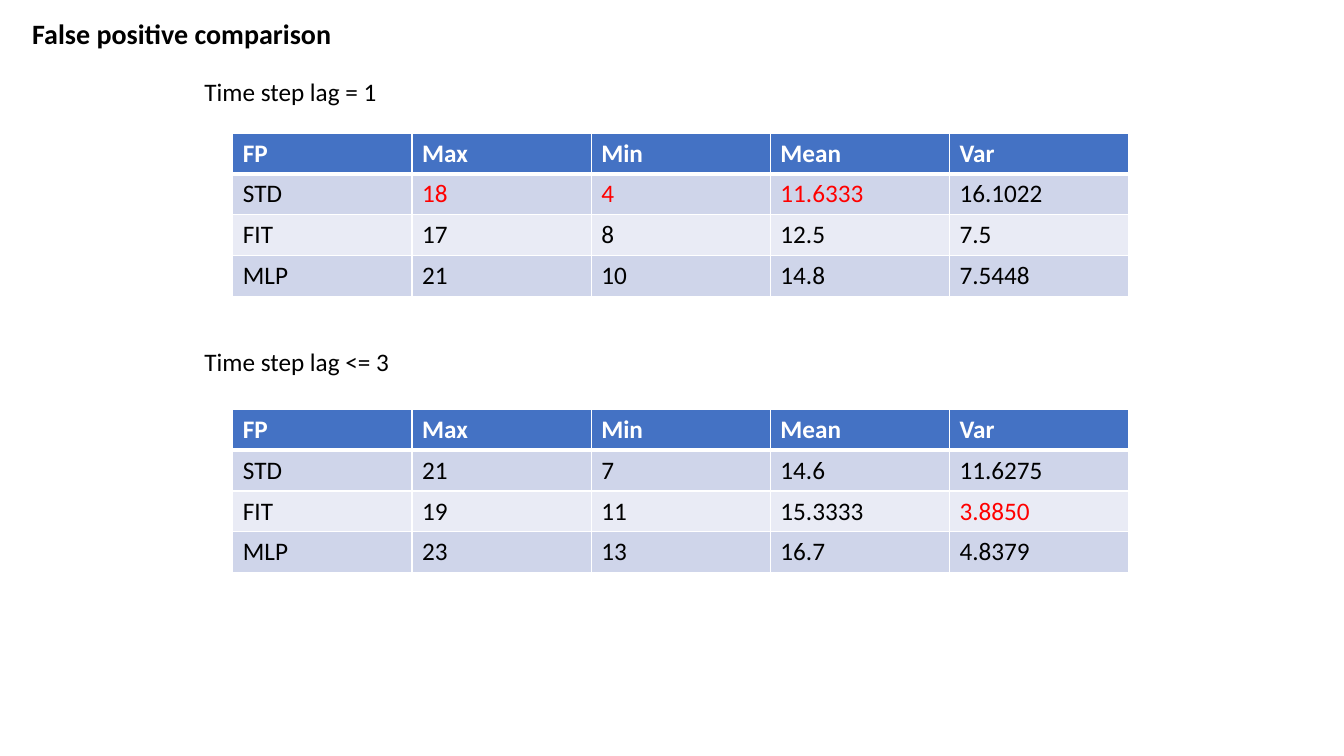
import dataclasses

import lxml.etree
import pptx
import pptx.dml.color
import pptx.enum.text
import pptx.oxml.ns
import pptx.slide
import pptx.table
import pptx.text.text
import pptx.util

COLORS = {
    "header": "4472C4",
    "odd_row": "CFD5EA",
    "even_row": "E9EBF5",
    "text": "000000",
    "highlight": "FF0000",
    "white": "FFFFFF",
}
FONT = "Calibri"
TABLE_LEFT = 166.32
COLUMN_WIDTH = 128
ROW_HEIGHT = 29.2
HEADER = ("FP", "Max", "Min", "Mean", "Var")


@dataclasses.dataclass(frozen=True)
class Label:
    text: str
    left: float
    top: float
    width: float
    height: float
    size: float = 18
    bold: bool = False


@dataclasses.dataclass(frozen=True)
class ResultTable:
    top: float
    rows: tuple[tuple[str, ...], ...]
    highlights: frozenset[tuple[int, int]]  # (row, column), header is row 0


LABELS = (
    Label("Time step lag = 1", 138.96, 51.12, 138.96, 29.08),
    Label("Time step lag <= 3", 138.96, 244.08, 148.32, 29.08),
    Label("False positive comparison", 15.84, 7.92, 230.4, 31.5, size=20, bold=True),
)
TABLES = (
    ResultTable(
        292.32,
        (
            ("STD", "21", "7", "14.6", "11.6275"),
            ("FIT", "19", "11", "15.3333", "3.8850"),
            ("MLP", "23", "13", "16.7", "4.8379"),
        ),
        frozenset({(2, 4)}),
    ),
    ResultTable(
        95.04,
        (
            ("STD", "18", "4", "11.6333", "16.1022"),
            ("FIT", "17", "8", "12.5", "7.5"),
            ("MLP", "21", "10", "14.8", "7.5448"),
        ),
        frozenset({(1, 1), (1, 2), (1, 3)}),
    ),
)


def rgb(name: str) -> pptx.dml.color.RGBColor:
    return pptx.dml.color.RGBColor.from_string(COLORS[name])


def write_text(
    text_frame: pptx.text.text.TextFrame, text: str, size: float, bold: bool, color: str
) -> None:
    run = text_frame.paragraphs[0].add_run()
    run.text = text
    font_format = {"name": FONT, "size": pptx.util.Pt(size), "bold": bold}
    for attribute, value in font_format.items():
        setattr(run.font, attribute, value)
    run.font.color.rgb = rgb(color)


def add_label(slide: pptx.slide.Slide, label: Label) -> None:
    box = (label.left, label.top, label.width, label.height)
    shape = slide.shapes.add_textbox(*map(pptx.util.Pt, box))
    frame_format = {
        "word_wrap": False,
        "auto_size": pptx.enum.text.MSO_AUTO_SIZE.SHAPE_TO_FIT_TEXT,
    }
    for attribute, value in frame_format.items():
        setattr(shape.text_frame, attribute, value)
    write_text(shape.text_frame, label.text, label.size, label.bold, "text")


def set_borders(cell: pptx.table._Cell, row: int) -> None:
    """Draw white cell edges, with a thicker rule below the header row."""
    widths = {"lnL": 1, "lnR": 1, "lnT": 3 if row == 1 else 1, "lnB": 3 if row == 0 else 1}
    properties = cell._tc.get_or_add_tcPr()
    for index, (tag, width) in enumerate(widths.items()):
        line = lxml.etree.Element(
            pptx.oxml.ns.qn(f"a:{tag}"), w=str(pptx.util.Pt(width))
        )
        fill = lxml.etree.SubElement(line, pptx.oxml.ns.qn("a:solidFill"))
        lxml.etree.SubElement(fill, pptx.oxml.ns.qn("a:srgbClr"), val=COLORS["white"])
        properties.insert(index, line)


def add_result_table(slide: pptx.slide.Slide, result: ResultTable) -> None:
    rows = (HEADER, *result.rows)
    box = (TABLE_LEFT, result.top, COLUMN_WIDTH * len(HEADER), ROW_HEIGHT * len(rows))
    table = slide.shapes.add_table(
        len(rows), len(HEADER), *map(pptx.util.Pt, box)
    ).table
    for row, values in enumerate(rows):
        is_header = row == 0
        fill_color = "header" if is_header else "odd_row" if row % 2 else "even_row"
        for column, value in enumerate(values):
            cell = table.cell(row, column)
            cell.fill.solid()
            cell.fill.fore_color.rgb = rgb(fill_color)
            set_borders(cell, row)
            text_color = "white" if is_header else "text"
            if (row, column) in result.highlights:
                text_color = "highlight"
            write_text(cell.text_frame, value, 18, is_header, text_color)


def main() -> None:
    presentation = pptx.Presentation()
    presentation.slide_width = pptx.util.Pt(960)
    presentation.slide_height = pptx.util.Pt(540)
    slide = presentation.slides.add_slide(presentation.slide_layouts[6])
    for result in TABLES:
        add_result_table(slide, result)
    for label in LABELS:
        add_label(slide, label)
    presentation.save("out.pptx")


if __name__ == "__main__":
    main()
